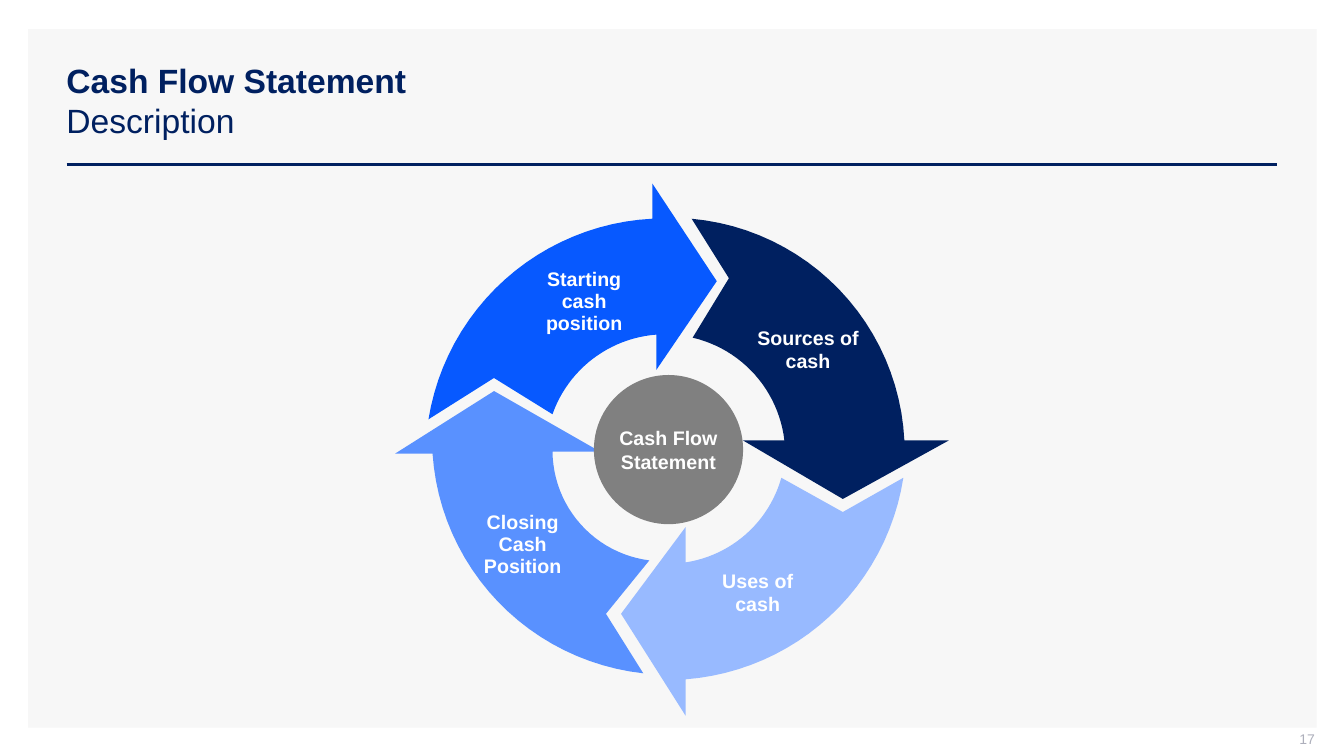
from math import atan2, cos, sin

from pptx import Presentation
from pptx.dml.color import RGBColor
from pptx.enum.shapes import MSO_CONNECTOR, MSO_SHAPE
from pptx.enum.text import MSO_ANCHOR as ANCHOR, PP_ALIGN as ALIGN
from pptx.oxml.ns import qn
from pptx.util import Inches, Pt

COLORS = {
    "panel": "F7F7F7", "navy": "002060", "blue": "0759FF", "mid": "5991FF",
    "light": "98BAFF", "gray": "808080", "white": "FFFFFF", "number": "ADAFBB",
}
ARC_STEPS = 24

# Each arc is start, middle, end; the head runs from the inner to the outer arc
ARROWS = [
    dict(color="blue", notch=(4.9, 3.75),
         inner=[(5.48, 4.11), (5.88, 3.56), (6.51, 3.32)],
         head=[(6.51, 3.67), (7.11, 2.79), (6.47, 1.82)],
         outer=[(6.47, 2.17), (5.07, 2.72), (4.25, 4.16)]),
    dict(color="light", notch=(8.36, 5.08),
         inner=[(7.75, 4.74), (7.41, 5.29), (6.8, 5.58)],
         head=[(6.8, 5.23), (6.16, 6.09), (6.8, 7.1)],
         outer=[(6.8, 6.74), (8.12, 6.21), (8.96, 4.74)]),
    dict(color="mid", notch=(6.01, 6.09),
         inner=[(6.44, 5.56), (5.74, 5.18), (5.48, 4.48)],
         head=[(5.95, 4.48), (4.9, 3.88), (3.92, 4.5)],
         outer=[(4.29, 4.5), (4.93, 5.96), (6.38, 6.68)]),
    dict(color="navy", notch=(7.23, 2.76),
         inner=[(6.87, 3.35), (7.49, 3.72), (7.78, 4.37)],
         head=[(7.37, 4.37), (8.36, 4.95), (9.41, 4.37)],
         outer=[(8.97, 4.37), (8.34, 2.89), (6.86, 2.17)]),
]
LABELS = [
    ("Sources of cash", (7.45, 3.25, 1.13, 0.45)),
    ("Starting cash position", (5.18, 2.77, 1.23, 0.45)),
    ("Closing Cash Position", (4.62, 5.07, 1.13, 0.67)),
    ("Uses of cash", (6.95, 5.66, 1.13, 0.45)),
]


def rgb(name):
    return RGBColor.from_string(COLORS[name])


def paint(sp, color):
    sp.shadow.inherit = False
    sp.fill.solid()
    sp.fill.fore_color.rgb = rgb(color)
    sp.line.fill.background()


def write(sp, *runs, size=14, color="white", align=ALIGN.CENTER,
          insets=(0, 0, 0, 0), spacing=None):
    """Fill a shape with (text, bold) runs, one per line."""
    tf = sp.text_frame
    tf.word_wrap = True
    tf.vertical_anchor = ANCHOR.MIDDLE
    (tf.margin_left, tf.margin_top,
     tf.margin_right, tf.margin_bottom) = map(Inches, insets)
    p = tf.paragraphs[0]
    p.alignment = align
    p.line_spacing = spacing
    for i, (text, bold) in enumerate(runs):
        if i:
            p.add_line_break()
        r = p.add_run()
        r.text = text
        r.font.name = "Arial"
        r.font.size = Pt(size)
        r.font.bold = bold
        r.font.color.rgb = rgb(color)


def add_text(slide, box, *runs, **fmt):
    write(slide.shapes.add_textbox(*map(Inches, box)), *runs, **fmt)


def add_preset(slide, kind, box, color):
    sp = slide.shapes.add_shape(kind, *map(Inches, box))
    paint(sp, color)
    return sp


def add_rule(slide, x1, x2, y):
    line = slide.shapes.add_connector(
        MSO_CONNECTOR.STRAIGHT, Inches(x1), Inches(y), Inches(x2), Inches(y))
    line.line.color.rgb = rgb("navy")
    line.line.width = Pt(2)
    sp_pr = line._element.spPr
    sp_pr.append(sp_pr.makeelement(qn("a:effectLst"), {}))


def arc(points):
    """Points along the circle that passes through three given points."""
    start, middle, end = (complex(*pt) for pt in points)
    w = (end - start) / (middle - start)
    center = start + (middle - start) * (w - abs(w) ** 2) / (2j * w.imag)
    turn = (end - center) / (start - center)
    sweep = atan2(turn.imag, turn.real)
    for i in range(ARC_STEPS + 1):
        angle = sweep * i / ARC_STEPS
        z = center + (start - center) * complex(cos(angle), sin(angle))
        yield z.real, z.imag


def add_arrow(slide, color, inner, head, outer, notch):
    outline = [*arc(inner), *head, *arc(outer), notch]
    first, *rest = [(Inches(x), Inches(y)) for x, y in outline]
    builder = slide.shapes.build_freeform(*first, scale=1.0)
    builder.add_line_segments(rest, close=True)
    paint(builder.convert_to_shape(), color)


def main():
    prs = Presentation()
    prs.slide_width, prs.slide_height = Inches(13.33), Inches(7.5)
    s = prs.slides.add_slide(prs.slide_layouts[6])

    # Panel, title and page number
    add_preset(s, MSO_SHAPE.RECTANGLE, (0.28, 0.29, 12.78, 6.93), "panel")
    add_rule(s, 0.66, 12.67, 1.63)
    add_text(s, (0.56, 0.4, 12.11, 1.19),
             ("Cash Flow Statement", True), ("Description", False),
             size=24, color="navy", align=ALIGN.LEFT,
             insets=(0.1, 0.05, 0.1, 0.05))
    add_text(s, (10.04, 7.25, 3, 0.21), ("17", False), size=10,
             color="number", align=ALIGN.RIGHT, insets=(0.1, 0, 0, 0.05))

    # Cycle of arrows
    for arrow in ARROWS:
        add_arrow(s, **arrow)
    for text, box in LABELS:
        add_text(s, box, (text, True), spacing=0.95)

    # Hub
    hub = add_preset(s, MSO_SHAPE.OVAL, (5.89, 3.72, 1.48, 1.48), "gray")
    write(hub, ("Cash Flow Statement", True), insets=(0, 0.05, 0, 0.05))

    prs.save("out.pptx")


if __name__ == "__main__":
    main()
